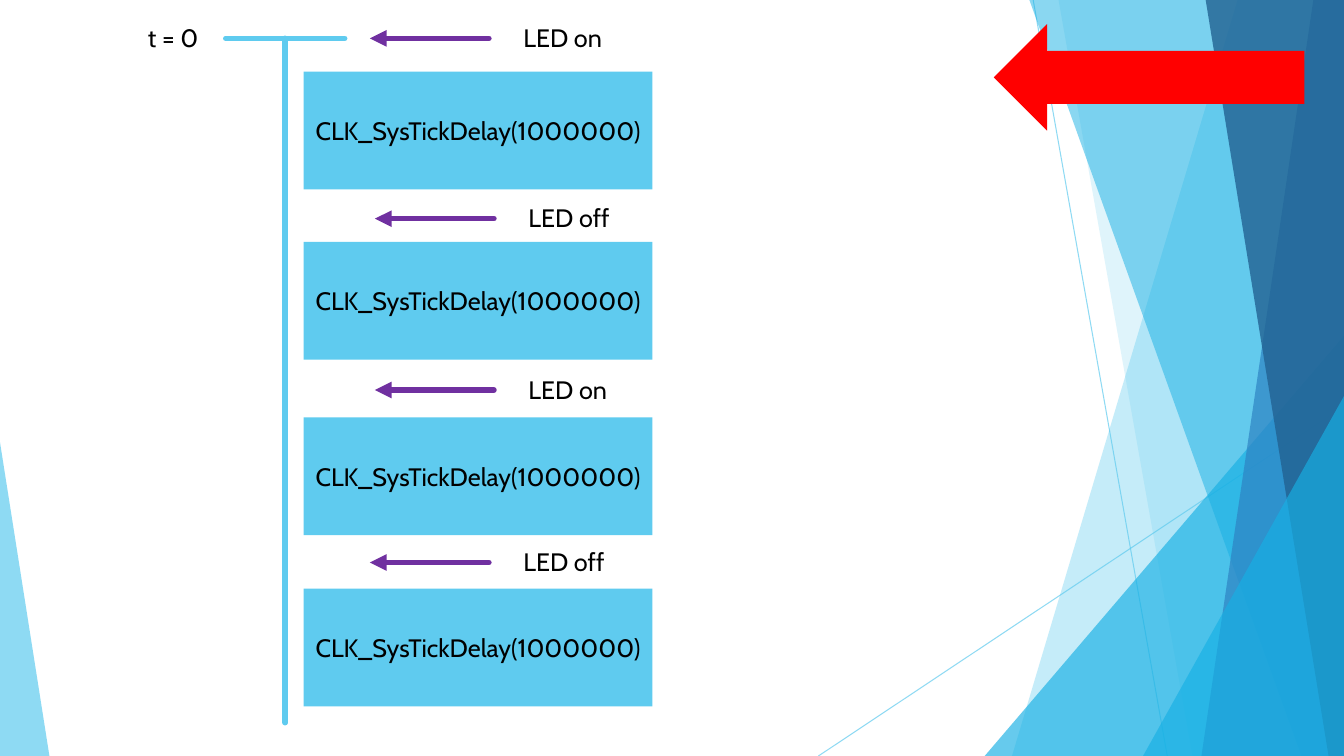
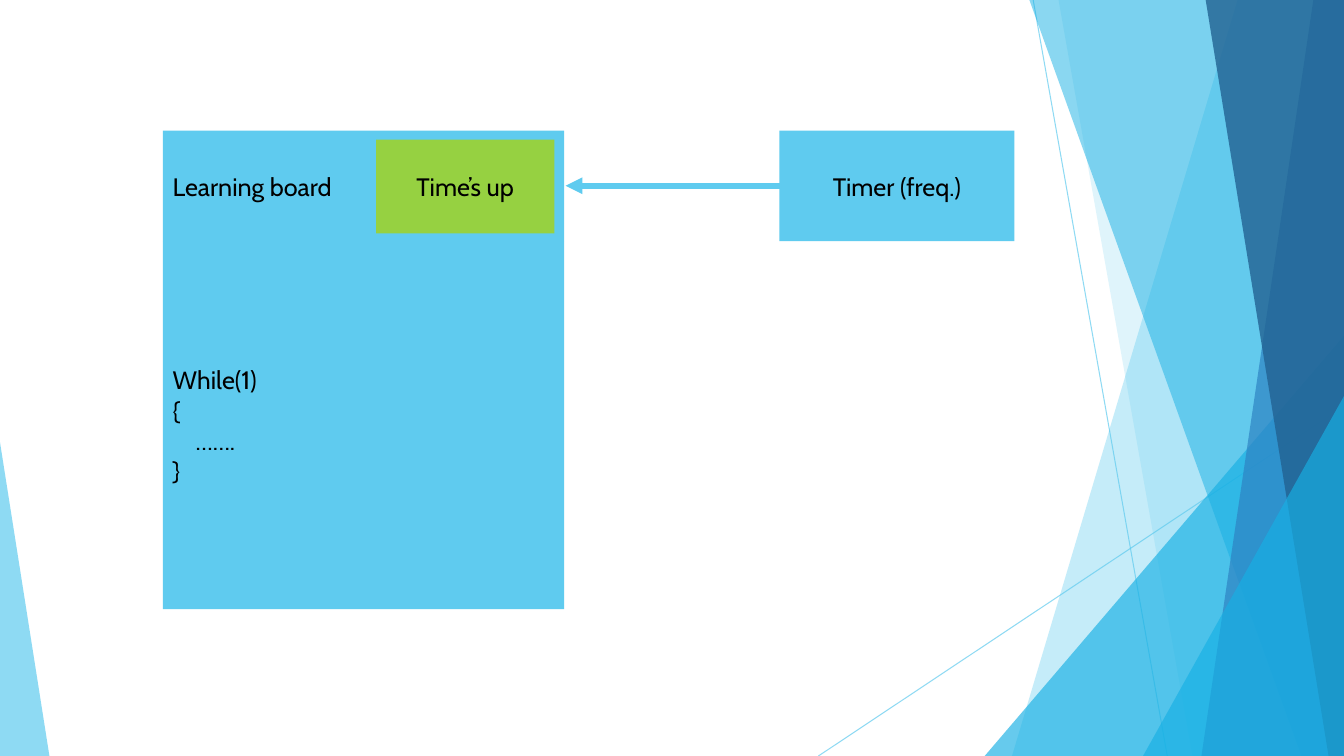
"""Build two slides on delay loops and timers over a shared faceted backdrop."""
from dataclasses import dataclass

from lxml import etree
from pptx import Presentation
from pptx import util as u
from pptx.dml.color import RGBColor
from pptx.enum import shapes, text
from pptx.oxml.ns import qn


@dataclass(frozen=True)
class Theme:
    """Colours, type and line sizes."""
    sky: str = "5FCBEF"
    cyan: str = "17B0E4"
    blue: str = "2E83C3"
    navy: str = "226292"
    purple: str = "7030A0"
    green: str = "96D141"
    red: str = "FF0000"
    ink: str = "000000"
    font: str = "Cabin"
    size: int = 18
    rule: float = 4
    hairline: float = 0.75


T = Theme()
Pt = u.Pt
WIDTH, HEIGHT = 960, 540
RECT = shapes.MSO_SHAPE.RECTANGLE
LEFT, CENTER = text.PP_ALIGN.LEFT, text.PP_ALIGN.CENTER

RAYS = [((738, 0), (833.8, HEIGHT)), ((WIDTH, 290.2), (584.6, HEIGHT))]
FACETS = [
    ("band", (884.2, 722.9), T.sky, 36),
    ("band", (756, 851.8), T.sky, 20),
    ("peak", (703.4, 239.8, WIDTH, 1), T.cyan, 66),
    ("band", (735.1, 929.5), T.cyan, 50),
    ("band", (938.2, 858.2), T.blue, 70),
    ("band", (861.1, 949), T.navy, 80),
    ("peak", (816.5, 283, WIDTH, 1), T.cyan, 66),
    ("peak", (0, 316, 35.3, 0), T.sky, 70),
]

DELAY = "CLK_SysTickDelay(1000000)"
EVENTS = [
    ("LED on", 264.2, 27.4, 51.1),
    ("LED off", 267.8, 156.2, 172.8),
    ("LED on", 267.8, 278.6, 298.1),
    ("LED off", 264.2, 401.8, 420.5),
]
AXIS_X, AXIS_END, TICK = 203.8, 516.2, (246.2, 161.3)
ARROW_LENGTH, LABEL_OFFSET, LABEL_RISE = 85, 102.6, 15
DELAY_BOX = (216.9, 249.1, 84.2)
CALLOUT = (709.9, 17.3, 221.8, 76)

LOOP = [("While(1)", 0), ("{", 0), ("…….", 16.4), ("}", 0)]
BOARD_X, BOARD_W, BOARD_Y, HEADER_H, LOOP_H = 116.3, 286.6, 93.3, 79, 262.8
TIMER_X, TIMER_W = 556.8, 167.8
FLAG = (268.6, 99.8, 127.4, 67)
SIGNAL_X, SIGNAL_Y = 404, 132.7


def put(obj, values):
    """Set attributes from a dict."""
    for name, value in values.items():
        setattr(obj, name, value)


def fade(sp, percent):
    """Set the opacity of the first colour."""
    color = sp.element.spPr.find(".//" + qn("a:srgbClr"))
    etree.SubElement(color, qn("a:alpha")).set("val", str(percent * 1000))


def paint(sp, color):
    """Fill a shape and clear its outline and shadow."""
    sp.shadow.inherit = False
    sp.fill.solid()
    sp.fill.fore_color.rgb = RGBColor.from_string(color)
    sp.line.fill.background()
    return sp


def line(parent, start, end, color, width, head=None):
    """Draw a line, with an arrowhead at the named end."""
    sp = parent.add_connector(shapes.MSO_CONNECTOR.STRAIGHT,
                              *(Pt(v) for v in (*start, *end)))
    sp.line.color.rgb = RGBColor.from_string(color)
    sp.line.width = Pt(width)
    spPr = sp.element.spPr
    ln = spPr.find(qn("a:ln"))
    ln.set("cap", "rnd")
    if head:
        etree.SubElement(ln, qn("a:" + head)).set("type", "triangle")
    etree.SubElement(spPr, qn("a:effectLst"))
    return sp


def write(sp, lines, align, **frame):
    """Write (text, indent) lines into a shape."""
    tf = sp.text_frame
    put(tf, {"word_wrap": True, **frame})
    for i, (words, indent) in enumerate(lines):
        p = tf.paragraphs[0] if i == 0 else tf.add_paragraph()
        p.alignment = align
        if indent:
            p._p.get_or_add_pPr().set("marL", str(Pt(indent)))
        r = p.add_run()
        r.text = words
        put(r.font, {"name": T.font, "size": Pt(T.size)})
        r.font.color.rgb = RGBColor.from_string(T.ink)


def box(s, at, color, lines, align=CENTER):
    """Add a filled rectangle with text."""
    sp = paint(s.shapes.add_shape(RECT, *(Pt(v) for v in at)), color)
    write(sp, lines, align, vertical_anchor=text.MSO_ANCHOR.MIDDLE)


def label(s, at, words):
    """Add a one-line text box."""
    sp = s.shapes.add_textbox(*(Pt(v) for v in at))
    write(sp, [(words, 0)], LEFT, auto_size=text.MSO_AUTO_SIZE.SHAPE_TO_FIT_TEXT)


def band(parent, top, bottom):
    """Outline a facet that reaches the right edge."""
    edge = -0.6
    pen = parent.build_freeform(Pt(top), Pt(edge))
    corners = [(WIDTH, edge), (WIDTH, HEIGHT), (bottom, HEIGHT)]
    pen.add_line_segments([(Pt(x), Pt(y)) for x, y in corners], close=True)
    return pen.convert_to_shape()


def peak(parent, left, top, right, apex):
    """Add a triangle that stands on the bottom edge."""
    sp = parent.add_shape(shapes.MSO_SHAPE.ISOSCELES_TRIANGLE, Pt(left), Pt(top),
                          Pt(right - left), Pt(HEIGHT - top))
    sp.adjustments[0] = apex
    return sp


def backdrop(s, layout):
    """Build the facets once and hand them to the layout."""
    group = s.shapes.add_group_shape()
    for start, end in RAYS:
        fade(line(group.shapes, start, end, T.sky, T.hairline), 70)
    makers = {"band": band, "peak": peak}
    for kind, geometry, color, opacity in FACETS:
        fade(paint(makers[kind](group.shapes, *geometry), color), opacity)
    for holder in list(layout.placeholders):
        layout.shapes.element.remove(holder.element)
    layout.shapes.element.append(group.element)


def delay_slide(s):
    """Show the LED timeline with blocking delays."""
    start = EVENTS[0][2]
    line(s.shapes, (AXIS_X, start), (AXIS_X, AXIS_END), T.sky, T.rule)
    line(s.shapes, (TICK[0], start), (TICK[1], start), T.sky, T.rule)
    label(s, (98.6, start - LABEL_RISE, 56.2, 29), "t = 0")
    left, width, height = DELAY_BOX
    for words, x, y, top in EVENTS:
        line(s.shapes, (x + ARROW_LENGTH, y), (x, y), T.purple, T.rule, "tailEnd")
        label(s, (x + LABEL_OFFSET, y - LABEL_RISE, 73.4, 29), words)
        box(s, (left, top, width, height), T.sky, [(DELAY, 0)])
    paint(s.shapes.add_shape(shapes.MSO_SHAPE.LEFT_ARROW,
                             *(Pt(v) for v in CALLOUT)), T.red)


def timer_slide(s):
    """Show a timer that signals the board."""
    box(s, (BOARD_X, BOARD_Y, BOARD_W, HEADER_H), T.sky, [("Learning board", 0)], LEFT)
    line(s.shapes, (SIGNAL_X, SIGNAL_Y), (TIMER_X, SIGNAL_Y), T.sky, T.rule, "headEnd")
    box(s, (TIMER_X, BOARD_Y, TIMER_W, HEADER_H), T.sky, [("Timer (freq.)", 0)])
    box(s, (BOARD_X, BOARD_Y + HEADER_H, BOARD_W, LOOP_H), T.sky, LOOP, LEFT)
    box(s, FLAG, T.green, [("Time’s up", 0)])


prs = Presentation()
put(prs, {"slide_width": Pt(WIDTH), "slide_height": Pt(HEIGHT)})
blank = prs.slide_layouts[6]
for i, build in enumerate((delay_slide, timer_slide)):
    s = prs.slides.add_slide(blank)
    if i == 0:
        backdrop(s, blank)
    build(s)
prs.save("out.pptx")
